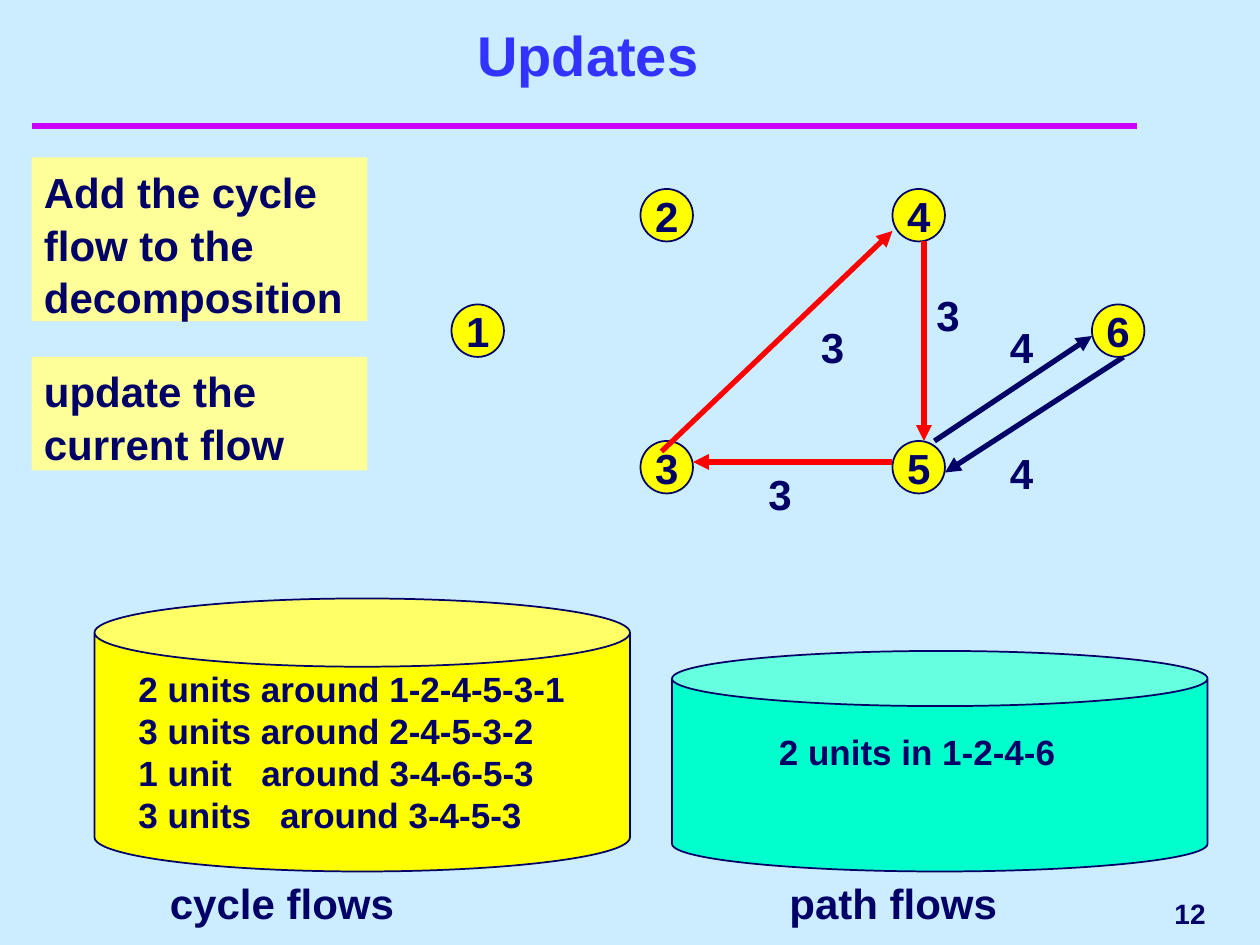
from lxml import etree
from pptx import Presentation
from pptx.dml.color import RGBColor
from pptx.enum.shapes import MSO_CONNECTOR, MSO_SHAPE
from pptx.enum.text import MSO_ANCHOR, MSO_AUTO_SIZE, PP_ALIGN
from pptx.oxml.ns import qn
from pptx.util import Inches, Pt

LEFT, CENTER, RIGHT = PP_ALIGN.LEFT, PP_ALIGN.CENTER, PP_ALIGN.RIGHT
TOP, MIDDLE, BOTTOM = MSO_ANCHOR.TOP, MSO_ANCHOR.MIDDLE, MSO_ANCHOR.BOTTOM
RECT, OVAL, CAN = MSO_SHAPE.RECTANGLE, MSO_SHAPE.OVAL, MSO_SHAPE.CAN
STRAIGHT = MSO_CONNECTOR.STRAIGHT
NO_FIT = MSO_AUTO_SIZE.NONE

SKY = RGBColor(0xCC, 0xEC, 0xFF)
NAVY = RGBColor(0x00, 0x00, 0x66)
BLUE = RGBColor(0x33, 0x33, 0xFF)
PURPLE = RGBColor(0xCC, 0x00, 0xFF)
RED = RGBColor(0xFF, 0x00, 0x00)
YELLOW = RGBColor(0xFF, 0xFF, 0x00)
CREAM = RGBColor(0xFF, 0xFF, 0x99)
MINT = RGBColor(0x00, 0xFF, 0xCC)

COLS, ROWS = 120, 90
NODE = 5


class Deck:
    """Style and current slide; lengths are columns and rows of the grid."""

    font = "Arial"

    def __init__(self):
        self.prs = Presentation()
        self.prs.slide_width, self.prs.slide_height = Inches(10), Inches(7.5)
        self.s = self.prs.slides.add_slide(self.prs.slide_layouts[5])
        fill = self.s.background.fill
        fill.solid()
        fill.fore_color.rgb = SKY

    def x(self, col):
        return round(self.prs.slide_width * col / COLS)

    def y(self, row):
        return round(self.prs.slide_height * row / ROWS)

    def box(self, col, row, cols, rows):
        return self.x(col), self.y(row), self.x(cols), self.y(rows)

    def set_text(self, sp, text, size=24, color=NAVY, align=LEFT, anchor=TOP,
                 wrap=True, spacing=1.0, tab=None):
        tf = sp.text_frame
        tf.auto_size, tf.word_wrap, tf.vertical_anchor = NO_FIT, wrap, anchor
        p = tf.paragraphs[0]
        p.alignment, p.line_spacing = align, spacing
        if tab:
            tabs = etree.SubElement(p._p.get_or_add_pPr(), qn("a:tabLst"))
            etree.SubElement(tabs, qn("a:tab"), pos=str(self.x(tab)), algn="l")
        r = p.add_run()
        r.text = text
        r.font.name, r.font.size, r.font.bold = self.font, Pt(size), True
        r.font.color.rgb = color

    def title(self, text, *place):
        sp = self.s.shapes.title
        sp.left, sp.top, sp.width, sp.height = self.box(*place)
        self.set_text(sp, text, 32, BLUE, CENTER, BOTTOM)

    def text(self, text, *place, **style):
        self.set_text(self.s.shapes.add_textbox(*self.box(*place)), text, **style)

    def shape(self, kind, fill, *place, outline=True):
        sp = self.s.shapes.add_shape(kind, *self.box(*place))
        sp.shadow.inherit = False
        sp.fill.solid()
        sp.fill.fore_color.rgb = fill
        if outline:
            sp.line.color.rgb, sp.line.width = NAVY, Pt(1)
        else:
            sp.line.fill.background()
        return sp

    def node(self, name, col, row):
        sp = self.shape(OVAL, YELLOW, col, row, NODE, NODE)
        self.set_text(sp, name, align=CENTER, anchor=MIDDLE, wrap=False)

    def note(self, text, *place):
        sp = self.shape(RECT, CREAM, *place, outline=False)
        self.set_text(sp, text, spacing=1.05)

    def can(self, fill, *place):
        self.shape(CAN, fill, *place).adjustments[0] = 0.25

    def line(self, start, end, color, width=3, arrow=True):
        c = self.s.shapes.add_connector(
            STRAIGHT, self.x(start[0]), self.y(start[1]), self.x(end[0]), self.y(end[1]))
        c.line.color.rgb, c.line.width = color, Pt(width)
        props = c._element.spPr
        if arrow:
            etree.SubElement(props.get_or_add_ln(), qn("a:tailEnd"), type="triangle")
        etree.SubElement(props, qn("a:effectLst"))


def main():
    d = Deck()
    d.line((3, 12), (108.33, 12), PURPLE, 4, arrow=False)
    d.text("12", 93, 84, 23, 6, size=16, align=RIGHT, anchor=MIDDLE)
    d.title("Updates", 5, 4, 102, 5)

    for start, end in [((89, 42), (104, 32)), ((107, 34), (90, 45))]:
        d.line(start, end, NAVY)
    for flow, col, row in [("3", 77, 30), ("4", 95, 30), ("3", 88, 27),
                           ("4", 95, 42), ("3", 72, 44)]:
        d.text(flow, col, row, 8, 6)
    for name, col, row in [("5", 85, 42), ("3", 61, 42), ("2", 61, 18),
                           ("4", 85, 18), ("1", 43, 29), ("6", 104, 29)]:
        d.node(name, col, row)
    for start, end in [((63, 43), (85, 22)), ((88, 23), (88, 42)), ((85, 44), (66, 44))]:
        d.line(start, end, RED)

    d.note("Add the cycle flow to the decomposition", 3, 15, 32, 15.6)
    d.note("update the current flow", 3, 34, 32, 10.8)

    d.can(MINT, 64, 62, 51, 21)
    d.can(YELLOW, 9, 57, 51, 26)
    cycles = [("2 units around 1-2-4-5-3-1", None), ("3 units around 2-4-5-3-2", None),
              ("1 unit\taround 3-4-6-5-3", 11.7), ("3 units\taround 3-4-5-3", 13.5)]
    for i, (cycle, tab) in enumerate(cycles):
        d.text(cycle, 12, 63 + 4 * i, 44, 5.3, size=20, tab=tab)
    d.text("2 units in 1-2-4-6", 73, 69, 35, 5.3, size=20)
    for caption, col in [("cycle flows", 15), ("path flows", 74)]:
        d.text(caption, col, 83, 33, 6)

    d.prs.save("out.pptx")


if __name__ == "__main__":
    main()
